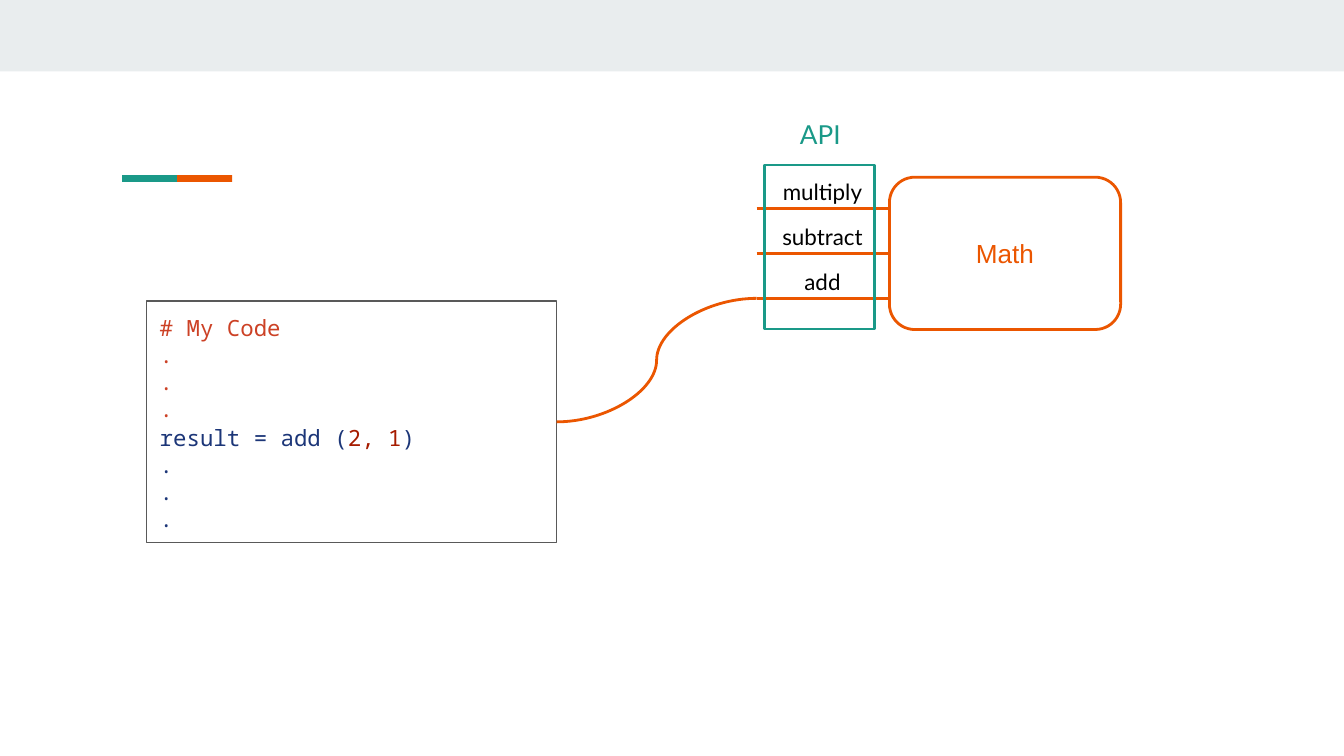
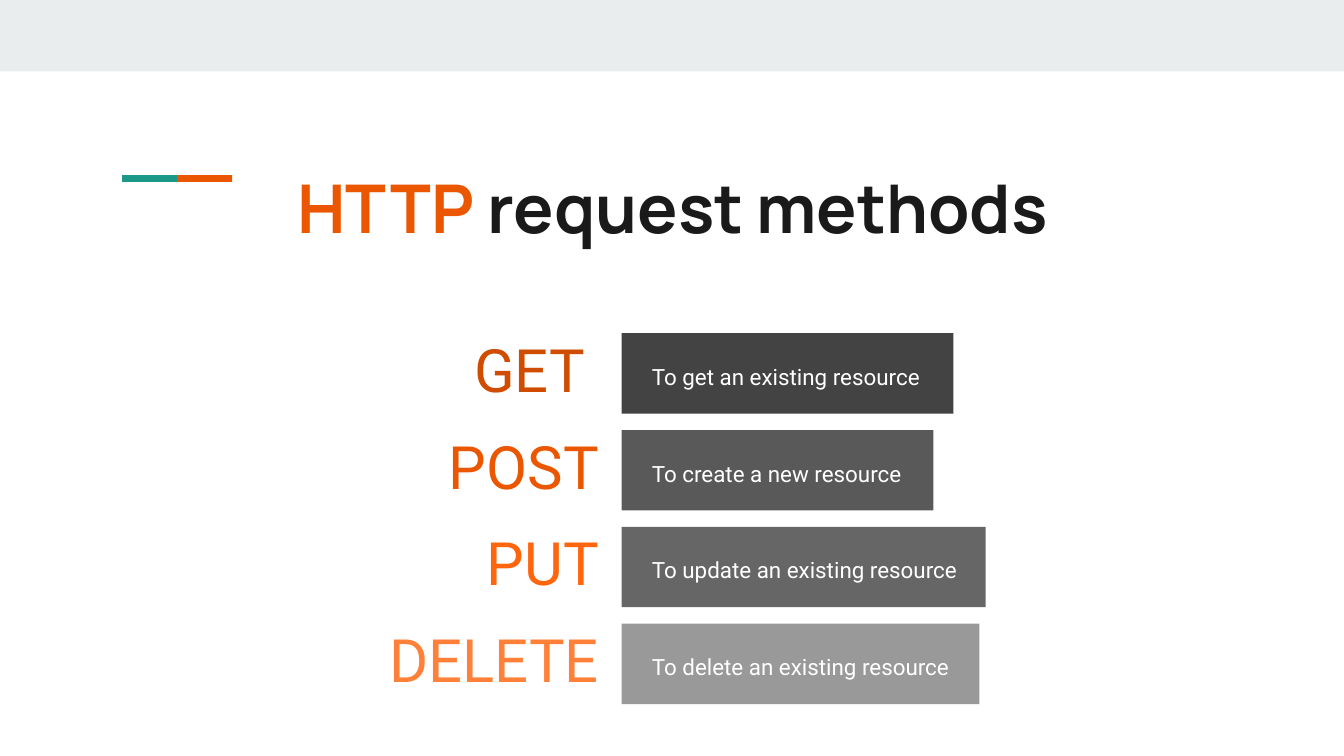
from lxml.etree import SubElement
from pptx import Presentation
from pptx.dml.color import RGBColor
from pptx.enum.shapes import MSO_CONNECTOR, MSO_SHAPE
from pptx.enum.text import MSO_ANCHOR, MSO_AUTO_SIZE, PP_ALIGN
from pptx.oxml.ns import qn
from pptx.util import Cm, Pt

TEAL = "1A9988"
ORANGE = "EB5600"
BAND = "E9EDEE"
BLACK = "000000"
DARK = "1A1A1A"
WHITE = "FFFFFF"
GREY = "595959"
COMMENT = "CC4125"
CODE = "1C3678"
NUMBER = "A61C00"
MONO = "Noto Sans Mono"
INSET = 0.25

METHODS = [
    ("GET ", "CF4C00", 5.26, "To get an existing resource", "434343", 6.27, 12.04),
    ("POST", ORANGE, 5.74, "To create a new resource", GREY, 5.89, 11.05),
    ("PUT", "FF650C", 4.22, "To update an existing resource", "666666", 6.88, 9.73),
    ("DELETE", "FF8139", 6.2, "To delete an existing resource", "999999", 6.76, 9.73),
]


def rgb(value):
    return RGBColor.from_string(value)


def write(sp, lines, size, font, color, align=PP_ALIGN.LEFT, anchor=MSO_ANCHOR.TOP,
          inset=INSET, spacing=None, bold=False):
    tf = sp.text_frame
    tf.word_wrap = True
    tf.auto_size = MSO_AUTO_SIZE.NONE
    tf.vertical_anchor = anchor
    tf.margin_left = tf.margin_right = Cm(INSET)
    tf.margin_top = tf.margin_bottom = Cm(inset)
    for i, line in enumerate(lines):
        p = tf.paragraphs[0] if i == 0 else tf.add_paragraph()
        p.alignment = align
        if spacing:
            p.line_spacing = spacing
        p.font.size = Pt(size)
        p.font.name = font
        p.font.bold = bold
        if isinstance(line, str):
            p.font.color.rgb = rgb(color)
            p.add_run().text = line
        else:
            for text, run_color in line:
                r = p.add_run()
                r.text = text
                r.font.color.rgb = rgb(run_color)


def add_text(s, x, y, w, h, lines, size, font, color, **options):
    sp = s.shapes.add_textbox(Cm(x), Cm(y), Cm(w), Cm(h))
    write(sp, lines, size, font, color, **options)
    return sp


def add_box(s, x, y, w, h, fill=None, line=None, width=1.5, kind=MSO_SHAPE.RECTANGLE):
    sp = s.shapes.add_shape(kind, Cm(x), Cm(y), Cm(w), Cm(h))
    sp.shadow.inherit = False
    if fill:
        sp.fill.solid()
        sp.fill.fore_color.rgb = rgb(fill)
    else:
        sp.fill.background()
    if line:
        sp.line.color.rgb = rgb(line)
        sp.line.width = Pt(width)
    else:
        sp.line.fill.background()
    return sp


def add_line(s, x1, y1, x2, y2, kind=MSO_CONNECTOR.STRAIGHT):
    cxn = s.shapes.add_connector(kind, Cm(x1), Cm(y1), Cm(x2), Cm(y2))
    cxn.line.color.rgb = rgb(ORANGE)
    cxn.line.width = Pt(1.5)
    SubElement(cxn._element.spPr, qn("a:effectLst"))
    return cxn


def add_slide(prs, layout):
    s = prs.slides.add_slide(prs.slide_layouts[layout])
    add_box(s, 0, 0, 25.4, 1.35, fill=BAND)
    for x, color in ((2.31, TEAL), (3.35, ORANGE)):
        add_box(s, x, 3.31, 1.04, 0.13, fill=color)
    return s


def add_api_slide(prs):
    s = add_slide(prs, 6)
    code = add_box(s, 2.77, 5.69, 7.75, 4.57, line=GREY, width=0.75)
    write(code, ["# My Code", ".", ".", "."], 12, MONO, COMMENT)
    call = [("result = add (", CODE), ("2, 1", NUMBER), (")", CODE)]
    add_text(s, 2.77, 7.77, 7.75, 2.54, [call, ".", ".", "."], 12, MONO, CODE)

    math = add_box(s, 16.81, 3.35, 4.37, 2.88, line=ORANGE,
                   kind=MSO_SHAPE.ROUNDED_RECTANGLE)
    write(math, ["Math"], 14, "Arial", ORANGE, align=PP_ALIGN.CENTER,
          anchor=MSO_ANCHOR.MIDDLE)
    for i, name in enumerate(("multiply", "subtract", "add")):
        y = 3.94 + 0.85 * i
        cxn = add_line(s, 14.3, y, 16.81, y)
        if name == "subtract":
            cxn.end_connect(math, 1)
        add_text(s, 14.35, y - 0.82, 2.39, 1.02, [name], 12, "Lato", BLACK,
                 align=PP_ALIGN.CENTER)
    curve = add_line(s, 10.52, 7.97, 14.3, 5.64, MSO_CONNECTOR.CURVE)
    curve.begin_connect(code, 3)

    add_box(s, 14.45, 3.12, 2.08, 3.1, line=TEAL)
    add_text(s, 14.4, 1.98, 2.21, 1.09, ["API"], 14, "Lato", TEAL,
             align=PP_ALIGN.CENTER)


def add_method(s, y, name, color, name_w, purpose, fill, bar_w, text_w):
    add_text(s, 11.57 - name_w, y + 0.1, name_w, 1.3, [name], 32, "Roboto", color,
             align=PP_ALIGN.RIGHT, anchor=MSO_ANCHOR.MIDDLE, inset=0, spacing=0.9)
    add_box(s, 11.75, y, bar_w, 1.52, fill=fill)
    add_text(s, 12.07, y + 0.43, text_w, 0.69, [purpose], 12, "Roboto", WHITE,
             anchor=MSO_ANCHOR.MIDDLE, inset=0, spacing=1.15)


def add_methods_slide(prs):
    s = add_slide(prs, 5)
    title = s.shapes.title
    title.left, title.top, title.width, title.height = Cm(2.03), Cm(2.9), Cm(21.36), Cm(3.4)
    write(title, [[("HTTP", ORANGE), (" request methods", DARK)]], 36, "Manrope", DARK,
          align=PP_ALIGN.CENTER, bold=True)
    for i, method in enumerate(METHODS):
        add_method(s, 6.3 + 1.83 * i, *method)


def main():
    prs = Presentation()
    prs.slide_width, prs.slide_height = Cm(25.4), Cm(14.29)
    add_api_slide(prs)
    add_methods_slide(prs)
    prs.save("out.pptx")


if __name__ == "__main__":
    main()
